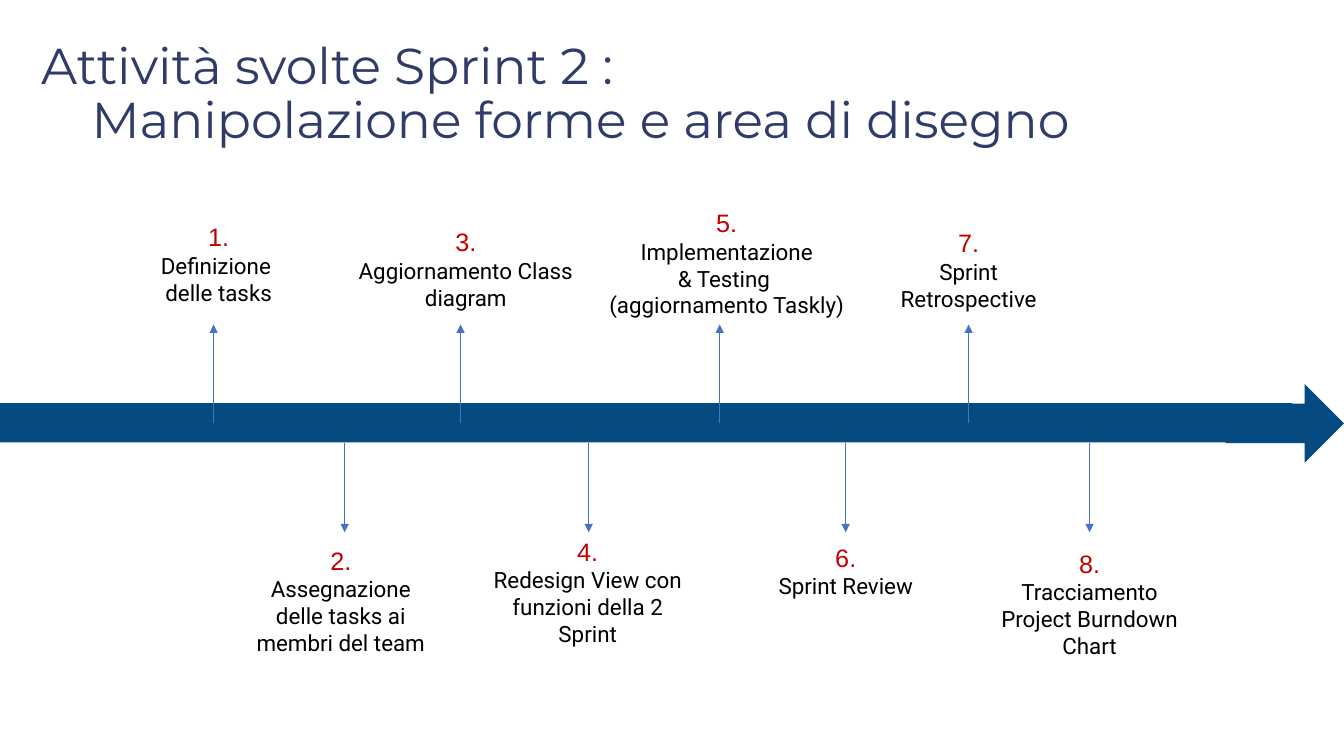
from pptx import Presentation
from pptx.dml.color import RGBColor
from pptx.enum.shapes import MSO_CONNECTOR, MSO_SHAPE
from pptx.enum.text import MSO_ANCHOR, PP_ALIGN
from pptx.oxml.ns import qn
from pptx.util import Pt
from lxml import etree

TITLE = ["Attività svolte Sprint 2 : ", "\tManipolazione forme e area di disegno"]

# Arrow x, label box (left, top, width, height), lines; odd steps sit above the bar
STEPS = [
    (152.6, (62.6, 154.8, 187.2, 67.7), ["Definizione ", "delle tasks"]),
    (246.2, (168.5, 385.9, 149.8, 87.1), ["Assegnazione delle tasks ai membri del team"]),
    (329.0, (243.4, 158.4, 178.6, 92.2), ["Aggiornamento Class diagram"]),
    (420.5, (344.9, 379.4, 149.8, 87.1), ["Redesign View con funzioni della 2 Sprint"]),
    (514.1, (426.2, 144.7, 185.8, 87.1),
     ["Implementazione", "& Testing ", "(aggiornamento Taskly)"]),
    (604.1, (529.2, 383.8, 149.8, 48.2), ["Sprint Review"]),
    (691.9, (617.0, 159.1, 149.8, 67.7), ["Sprint Retrospective"]),
    (778.3, (703.4, 388.1, 149.8, 87.1), ["Tracciamento", "Project Burndown Chart"]),
]

SLIDE_WIDTH, SLIDE_HEIGHT = 960, 540
TITLE_BOX = (22.3, 15.8, 960.5, 104.4)
BAR_BOX = (0, 288, 923, 28.1)
HEAD_BOX = (875.5, 274.3, 84.5, 56.2)
UP_ARROW = (302.4, 231.8)
DOWN_ARROW = (316.1, 380.2)

NAVY, BLUE, ARROW_BLUE, RED, BLACK = "2F3B69", "054B81", "4472C4", "C00000", "000000"


def color(hex_code):
    return RGBColor.from_string(hex_code)


def points(box):
    return [Pt(length) for length in box]


def add_run(paragraph, text, font, size, hex_code):
    run = paragraph.add_run()
    run.text = text
    run.font.name = font
    run.font.size = Pt(size)
    run.font.color.rgb = color(hex_code)


def add_text_frame(slide, box):
    frame = slide.shapes.add_textbox(*points(box)).text_frame
    frame.word_wrap = True
    return frame


def add_title(slide):
    frame = add_text_frame(slide, TITLE_BOX)
    frame.vertical_anchor = MSO_ANCHOR.MIDDLE
    paragraph = frame.paragraphs[0]
    paragraph.line_spacing = 0.9
    for index, line in enumerate(TITLE):
        if index:
            paragraph.add_line_break()
        add_run(paragraph, line, "Montserrat", 36, NAVY)


def add_solid(slide, preset, box):
    solid = slide.shapes.add_shape(preset, *points(box))
    solid.shadow.inherit = False
    solid.fill.solid()
    solid.fill.fore_color.rgb = color(BLUE)
    solid.line.fill.background()


def add_arrow(slide, x, start, end):
    arrow = slide.shapes.add_connector(
        MSO_CONNECTOR.STRAIGHT, Pt(x), Pt(start), Pt(x), Pt(end))
    arrow.line.color.rgb = color(ARROW_BLUE)
    arrow.line.width = Pt(0.5)
    etree.SubElement(arrow.line._get_or_add_ln(), qn("a:tailEnd"), type="triangle")
    etree.SubElement(arrow._element.spPr, qn("a:effectLst"))


def add_label(slide, number, box, lines):
    frame = add_text_frame(slide, box)
    heading = frame.paragraphs[0]
    heading.alignment = PP_ALIGN.CENTER
    add_run(heading, f"{number}.", "Arial", 18, RED)
    for line in lines:
        paragraph = frame.add_paragraph()
        paragraph.alignment = PP_ALIGN.CENTER
        add_run(paragraph, line, "Roboto", 16, BLACK)


def main():
    deck = Presentation()
    deck.slide_width, deck.slide_height = Pt(SLIDE_WIDTH), Pt(SLIDE_HEIGHT)
    slide = deck.slides.add_slide(deck.slide_layouts[6])
    add_title(slide)
    add_solid(slide, MSO_SHAPE.RECTANGLE, BAR_BOX)
    add_solid(slide, MSO_SHAPE.RIGHT_ARROW, HEAD_BOX)
    for number, (x, box, lines) in enumerate(STEPS, start=1):
        add_arrow(slide, x, *(UP_ARROW if number % 2 else DOWN_ARROW))
        add_label(slide, number, box, lines)
    deck.save("out.pptx")


if __name__ == "__main__":
    main()
